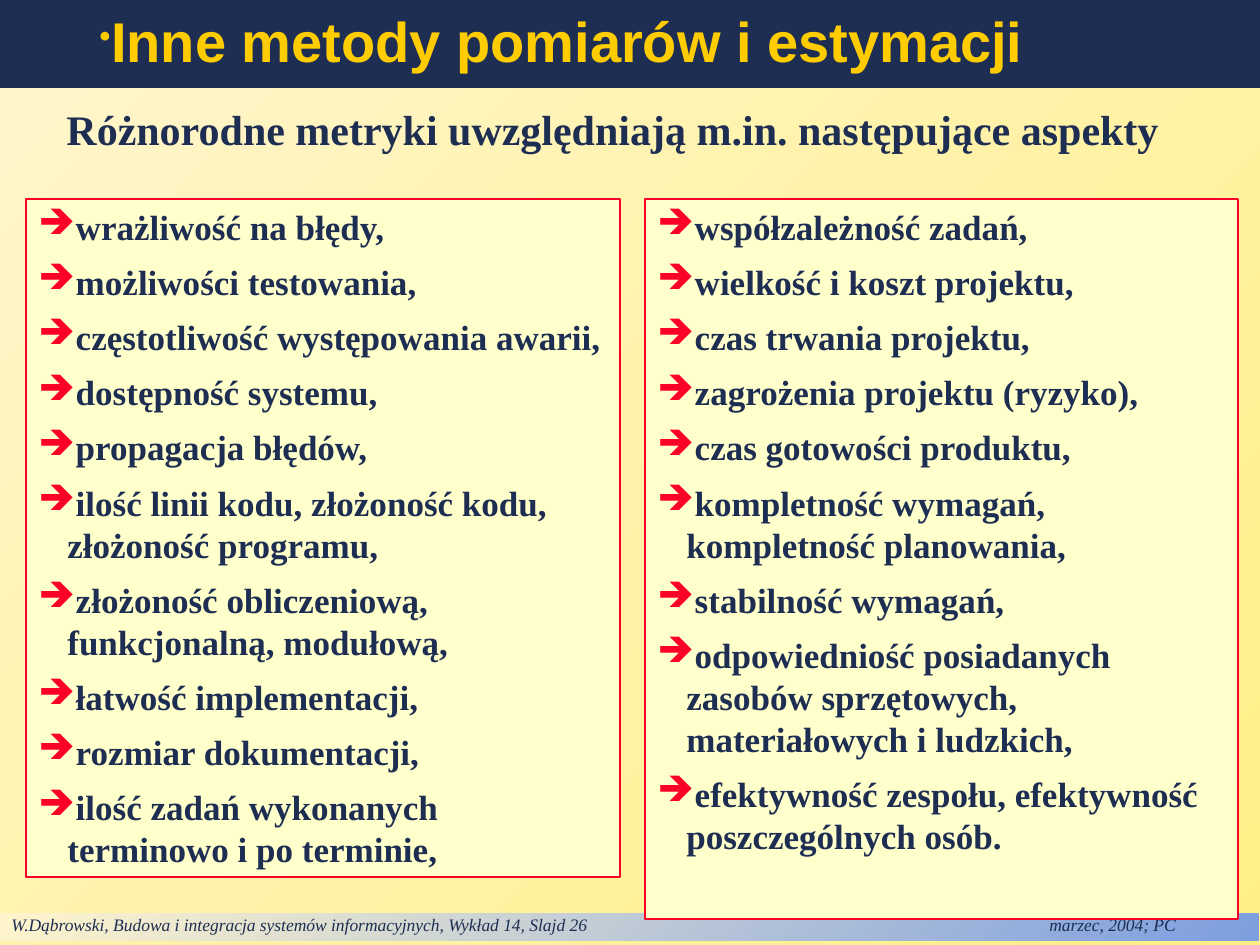
"""Build a lecture slide listing aspects covered by software metrics."""
import lxml.etree
import pptx
import pptx.dml.color
import pptx.enum.shapes
import pptx.enum.text
import pptx.oxml.ns
import pptx.util

RGBColor = pptx.dml.color.RGBColor
NAVY = RGBColor(0x1E, 0x2E, 0x53)
GOLD = RGBColor(0xFF, 0xCC, 0x00)
RED = RGBColor(0xFC, 0x01, 0x28)
IVORY = RGBColor(0xFF, 0xFF, 0xCC)
CREAM = RGBColor(0xFF, 0xF5, 0xCD)
YELLOW = RGBColor(0xFF, 0xF0, 0x85)
BLUE = RGBColor(0x7D, 0x9E, 0xDF)

TITLE = "Inne metody pomiarów i estymacji"
SUBTITLE = "Różnorodne metryki uwzględniają m.in. następujące aspekty"
FOOTER = ("W.Dąbrowski, Budowa i integracja systemów informacyjnych, "
          "Wykład 14, Slajd 26\tmarzec, 2004; PC")
PANELS = [
    ((26, 199, 594, 678), [
        "wrażliwość na błędy,",
        "możliwości testowania,",
        "częstotliwość występowania awarii,",
        "dostępność systemu,",
        "propagacja błędów,",
        "ilość linii kodu, złożoność kodu, złożoność programu,",
        "złożoność obliczeniową, funkcjonalną, modułową,",
        "łatwość implementacji,",
        "rozmiar dokumentacji,",
        "ilość zadań wykonanych terminowo i po terminie,",
    ]),
    ((645, 199, 593, 720), [
        "współzależność zadań,",
        "wielkość i koszt projektu,",
        "czas trwania projektu,",
        "zagrożenia projektu (ryzyko),",
        "czas gotowości produktu,",
        "kompletność wymagań, kompletność planowania,",
        "stabilność wymagań,",
        "odpowiedniość posiadanych zasobów sprzętowych, materiałowych i ludzkich,",
        "efektywność zespołu, efektywność poszczególnych osób.",
    ]),
]
SERIF = "Times New Roman"


def px(length):
    return pptx.util.Emu(round(length * 914400 / 126))


def add_element(parent, tag, **attributes):
    element = lxml.etree.SubElement(parent, pptx.oxml.ns.qn(tag))
    for name, value in attributes.items():
        element.set(name, str(value))
    return element


def fill_gradient(fill, start, end):
    fill.gradient()
    fill.gradient_angle = 135
    for stop, color in zip(fill.gradient_stops, (start, end)):
        stop.color.rgb = color


def add_box(slide, box, color=None, line=None):
    shape = slide.shapes.add_shape(
        pptx.enum.shapes.MSO_SHAPE.RECTANGLE, *map(px, box))
    shape.shadow.inherit = False
    if color is not None:
        shape.fill.solid()
        shape.fill.fore_color.rgb = color
    if line is None:
        shape.line.fill.background()
    else:
        shape.line.color.rgb = line
        shape.line.width = pptx.util.Pt(1)
    return shape


def write(shape, lines, size, color, font=SERIF, bold=True, italic=False):
    frame = shape.text_frame
    frame.text = "\n".join(lines)
    frame.word_wrap = True
    frame.vertical_anchor = pptx.enum.text.MSO_ANCHOR.TOP
    for paragraph in frame.paragraphs:
        paragraph.alignment = pptx.enum.text.PP_ALIGN.LEFT
        for run in paragraph.runs:
            run.font.name = font
            run.font.size = pptx.util.Pt(size)
            run.font.bold = bold
            run.font.italic = italic
            run.font.color.rgb = color
    return frame


def add_bullet(paragraph, character, color, margin, indent, percent=100):
    properties = paragraph._p.get_or_add_pPr()
    properties.set("marL", str(px(margin)))
    properties.set("indent", str(px(indent)))
    add_element(add_element(properties, "a:buClr"), "a:srgbClr", val=color)
    add_element(properties, "a:buSzPct", val=percent * 1000)
    add_element(properties, "a:buChar", char=character)


def add_footer(slide):
    footer = add_box(slide, (-1, 914, 1260, 27))
    fill_gradient(footer.fill, BLUE, CREAM)
    frame = write(footer, [FOOTER], 10, NAVY, bold=False, italic=True)
    frame.margin_top = 0
    frame.margin_bottom = px(5)
    properties = frame.paragraphs[0]._p.get_or_add_pPr()
    tabs = add_element(properties, "a:tabLst")
    add_element(tabs, "a:tab", pos=px(1038), algn="l")


def add_title(slide):
    title = add_box(slide, (0, 0, 1260, 88), NAVY)
    frame = write(title, [TITLE], 32, GOLD, font="Arial")
    frame.vertical_anchor = pptx.enum.text.MSO_ANCHOR.MIDDLE
    paragraph = frame.paragraphs[0]
    paragraph.line_spacing = 0.9
    add_bullet(paragraph, "•", GOLD, 37, 50, 60)


def add_panel(slide, box, aspects):
    frame = write(add_box(slide, box, IVORY, RED), aspects, 20, NAVY)
    for index, paragraph in enumerate(frame.paragraphs):
        if index:
            paragraph.space_before = pptx.util.Pt(7.5)
        add_bullet(paragraph, "➔", RED, 29, -29)


def main():
    presentation = pptx.Presentation()
    presentation.slide_width = px(1260)
    presentation.slide_height = px(945)
    slide = presentation.slides.add_slide(presentation.slide_layouts[6])
    fill_gradient(slide.background.fill, YELLOW, CREAM)
    add_footer(slide)
    add_title(slide)
    subtitle = slide.shapes.add_textbox(*map(px, (54, 97, 1206, 63)))
    write(subtitle, [SUBTITLE], 24, NAVY)
    for box, aspects in PANELS:
        add_panel(slide, box, aspects)
    presentation.save("out.pptx")


if __name__ == "__main__":
    main()
